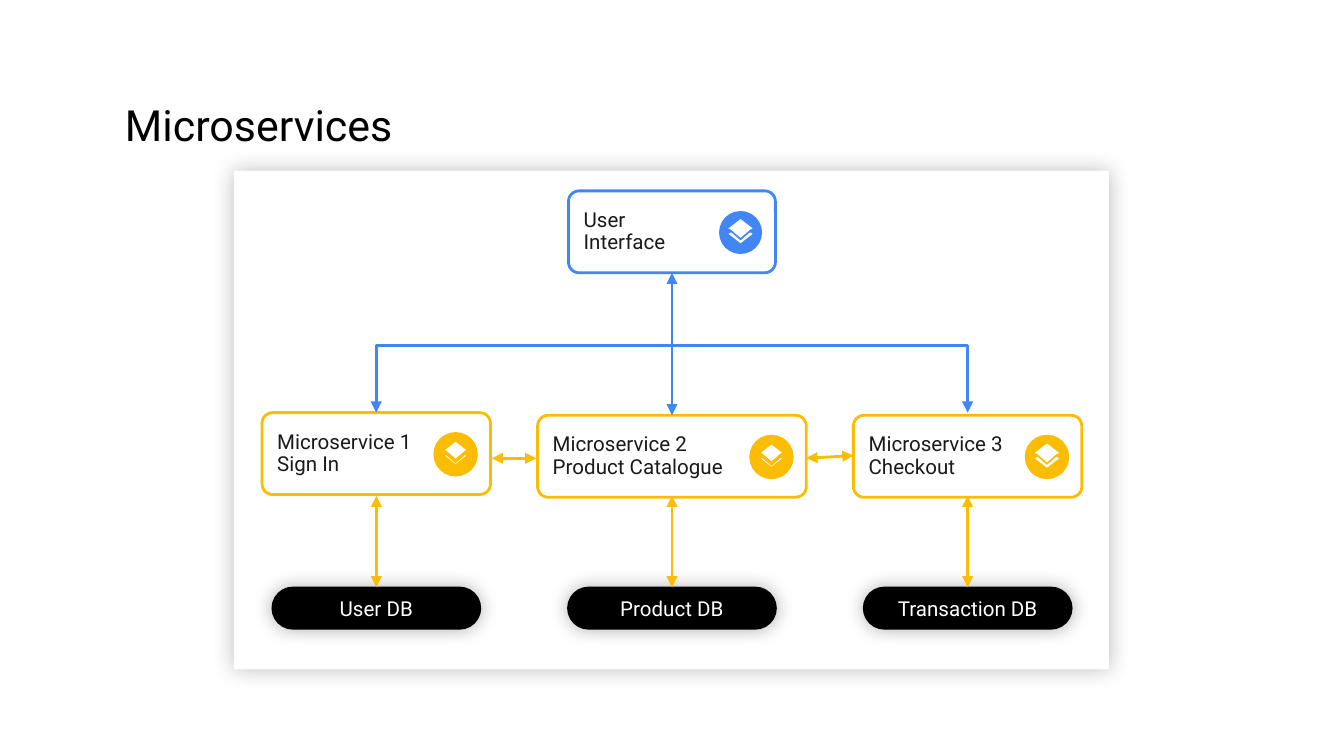
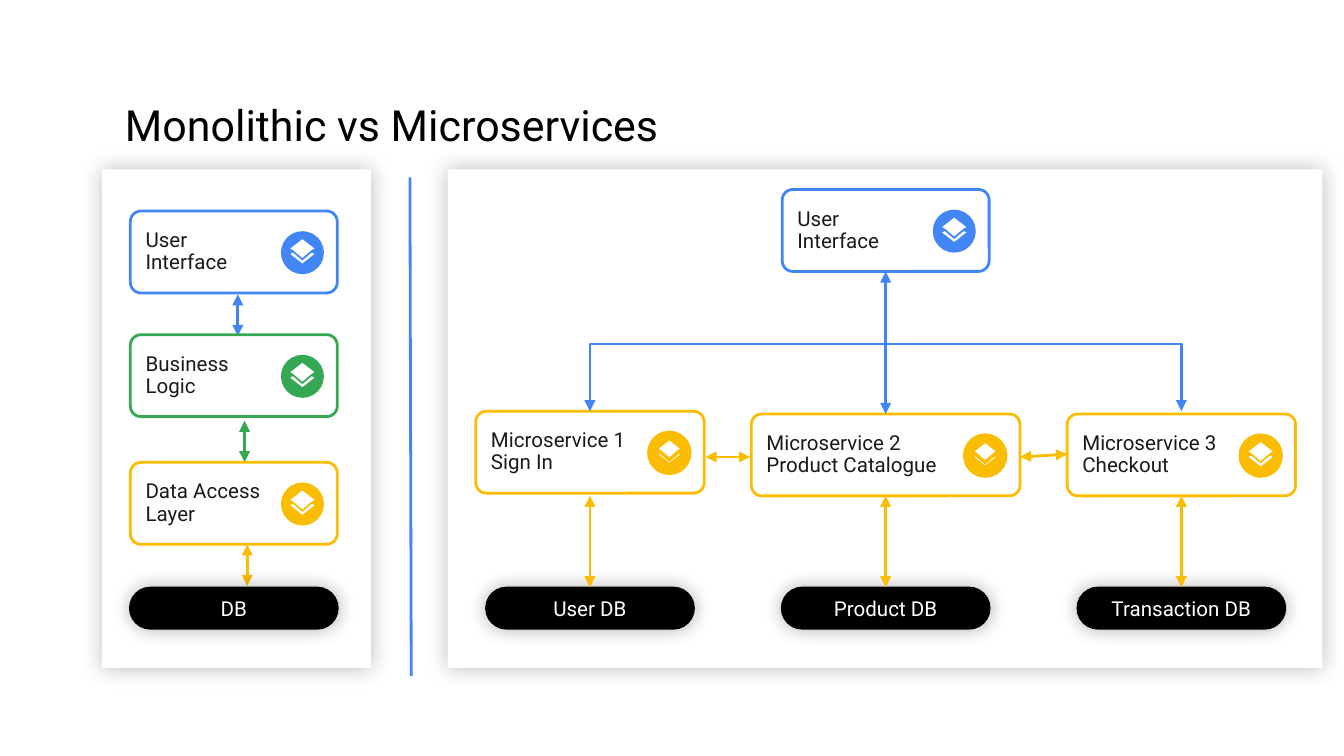
from lxml.etree import SubElement
from pptx import Presentation
from pptx.dml.color import RGBColor
from pptx.enum.shapes import MSO_CONNECTOR, MSO_SHAPE
from pptx.enum.text import MSO_ANCHOR, MSO_AUTO_SIZE, PP_ALIGN
from pptx.oxml.ns import qn
from pptx.util import Inches, Pt

FONT = "Roboto"
BLACK, WHITE, INK = "000000", "FFFFFF", "1A1A1A"
BLUE, GREEN, YELLOW = "4285F4", "34A853", "FBBC04"

TITLES = ["Microservices", "Monolithic vs Microservices"]
INTERFACE = ["User", "Interface"]
SERVICES = [
    {"label": ["Microservice 1", "Sign In"], "top": 3.07, "width": 1.7, "glyph_line": YELLOW, "db": "User DB"},
    {"label": ["Microservice 2", "Product Catalogue"], "top": 3.09, "width": 2, "glyph_line": YELLOW, "db": "Product DB"},
    {"label": ["Microservice 3", "Checkout"], "top": 3.09, "width": 1.7, "glyph_line": None, "db": "Transaction DB"},
]
SERVICE_LINKS = [((3.66, 3.41), (3.99, 3.41)), ((6, 3.41), (6.35, 3.39))]
LAYERS = [
    {"label": INTERFACE, "top": 1.57, "colour": BLUE, "arrow_x": 1.77},
    {"label": ["Business", "Logic"], "top": 2.49, "colour": GREEN, "arrow_x": 1.82},
    {"label": ["Data Access", "Layer"], "top": 3.44, "colour": YELLOW, "arrow_x": 1.84},
]
LAYER_ARROWS = [(2.5, 2.19), (3.44, 3.13), (4.36, 4.05)]
MONOLITH_DB = "DB"

SLIDE_WIDTH = Inches(10)
SLIDE_HEIGHT = SLIDE_WIDTH * 9 // 16
PANEL_HEIGHT = 3.71
CARD_WIDTH, CARD_HEIGHT = 1.54, 0.61
DB_WIDTH, DB_HEIGHT, DB_TOP = 1.55, 0.31, 4.37
ICON_SIZE, ICON_FROM_RIGHT, ICON_DROP = 0.32, 0.42, 0.15
CENTRE, COLUMN_GAP = 5, 2.2
BRANCH_TOP = 2.57
MONOLITH_CENTRE = 1.74

CHEVRON = [(0, 0.06), (0.07, 0), (0.09, 0.01), (0, 0.08), (-0.09, 0.01), (-0.07, 0)]
DIAMOND = [(0, 0.04), (-0.07, -0.02), (-0.09, -0.03), (0, -0.1), (0.09, -0.03), (0.07, -0.02)]


def rgb(colour):
    return RGBColor.from_string(colour)


def paint(shape, fill, outline=None, weight=0.75):
    shape.fill.solid()
    shape.fill.fore_color.rgb = rgb(fill)
    if outline:
        shape.line.color.rgb = rgb(outline)
        shape.line.width = Pt(weight)
    else:
        shape.line.fill.background()
    shape.shadow.inherit = False


def glow(shape, blur, opacity):
    effects = shape._element.spPr.find(qn("a:effectLst"))
    shadow = SubElement(effects, qn("a:outerShdw"), blurRad=str(Pt(blur)), dist="0", dir="0", algn="ctr", rotWithShape="0")
    tint = SubElement(shadow, qn("a:srgbClr"), val=BLACK)
    SubElement(tint, qn("a:alpha"), val=str(opacity * 1000))


def write(shape, lines, size, colour, align=PP_ALIGN.LEFT, anchor=MSO_ANCHOR.MIDDLE, inset=0.0, spacing=None):
    frame = shape.text_frame
    frame.word_wrap = True
    frame.auto_size = MSO_AUTO_SIZE.NONE
    frame.vertical_anchor = anchor
    frame.margin_left = frame.margin_right = frame.margin_top = frame.margin_bottom = Inches(inset)
    for index, line in enumerate(lines):
        paragraph = frame.add_paragraph() if index else frame.paragraphs[0]
        paragraph.alignment = align
        paragraph.line_spacing = spacing
        run = paragraph.add_run()
        run.text = line
        run.font.name = FONT
        run.font.size = Pt(size)
        run.font.color.rgb = rgb(colour)


def add_preset(slide, preset, left, top, width, height, radius=None):
    shape = slide.shapes.add_shape(preset, Inches(left), Inches(top), Inches(width), Inches(height))
    if radius is not None:
        shape.adjustments[0] = radius
    return shape


def add_panel(slide, left, top, width):
    panel = add_preset(slide, MSO_SHAPE.ROUNDED_RECTANGLE, left, top, width, PANEL_HEIGHT, 0)
    paint(panel, WHITE)
    glow(panel, 12, 25)


def add_icon(slide, left, top, colour, disc_line, glyph_line):
    disc = add_preset(slide, MSO_SHAPE.OVAL, left, top, ICON_SIZE, ICON_SIZE)
    paint(disc, colour, disc_line)
    middle_x, middle_y = left + ICON_SIZE / 2, top + ICON_SIZE / 2
    chevron, diamond = (
        [(Inches(middle_x + x), Inches(middle_y + y)) for x, y in outline] for outline in (CHEVRON, DIAMOND)
    )
    builder = slide.shapes.build_freeform(*chevron[0])
    builder.add_line_segments(chevron[1:], close=True)
    builder.move_to(*diamond[0])
    builder.add_line_segments(diamond[1:], close=True)
    paint(builder.convert_to_shape(), WHITE, glyph_line)


def add_card(slide, label, centre, top, width, colour, disc_line=None, glyph_line=None):
    left = centre - width / 2
    card = add_preset(slide, MSO_SHAPE.ROUNDED_RECTANGLE, left, top, width, CARD_HEIGHT, 0.13)
    paint(card, WHITE, colour, 1.5)
    write(card, label, 11, INK, inset=0.09, spacing=0.9)
    add_icon(slide, left + width - ICON_FROM_RIGHT, top + ICON_DROP, colour, disc_line, glyph_line)


def add_database(slide, name, centre, top):
    pill = add_preset(slide, MSO_SHAPE.ROUNDED_RECTANGLE, centre - DB_WIDTH / 2, top, DB_WIDTH, DB_HEIGHT, 0.5)
    paint(pill, BLACK, BLACK)
    glow(pill, 10, 30)
    write(pill, [name], 11, WHITE, align=PP_ALIGN.CENTER)


def add_link(slide, start, end, colour, ends=("headEnd", "tailEnd"), bent=False):
    kind = MSO_CONNECTOR.ELBOW if bent else MSO_CONNECTOR.STRAIGHT
    link = slide.shapes.add_connector(kind, *(Inches(value) for value in (*start, *end)))
    link.line.color.rgb = rgb(colour)
    link.line.width = Pt(1.5)
    properties = link._element.spPr
    if bent:
        properties.find(qn("a:prstGeom")).set("prst", "bentConnector2")
    for arrowhead in ends:
        SubElement(properties.find(qn("a:ln")), qn(f"a:{arrowhead}"), type="triangle")
    SubElement(properties, qn("a:effectLst"))


def add_microservices(slide, dx=0.0, dy=0.0):
    def moved(x, y):
        return x + dx, y + dy

    add_panel(slide, *moved(1.74, 1.27), 6.51)
    add_card(slide, INTERFACE, *moved(CENTRE, 1.42), CARD_WIDTH, BLUE)
    for column, service in enumerate(SERVICES):
        x = CENTRE + (column - 1) * COLUMN_GAP
        add_card(slide, service["label"], *moved(x, service["top"]), service["width"],
                 YELLOW, YELLOW, service["glyph_line"])
        add_database(slide, service["db"], x + dx, DB_TOP)
        add_link(slide, (x + dx, DB_TOP), (x + dx, 3.69), YELLOW)
        if x == CENTRE:
            add_link(slide, moved(x, service["top"]), moved(x, 2.03), BLUE)
        else:
            add_link(slide, moved(CENTRE, BRANCH_TOP), moved(x, 3.07), BLUE, ["tailEnd"], bent=True)
    for start, end in SERVICE_LINKS:
        add_link(slide, moved(*start), moved(*end), YELLOW)


def add_monolith(slide):
    add_panel(slide, 0.76, 1.26, 2)
    for layer, (bottom, top) in zip(LAYERS, LAYER_ARROWS):
        add_card(slide, layer["label"], MONOLITH_CENTRE, layer["top"], CARD_WIDTH, layer["colour"])
        add_link(slide, (layer["arrow_x"], bottom), (layer["arrow_x"], top), layer["colour"])
    add_database(slide, MONOLITH_DB, MONOLITH_CENTRE, DB_TOP)


def add_titled_slide(deck, heading):
    slide = deck.slides.add_slide(deck.slide_layouts[5])
    title = slide.shapes.title
    title.left, title.top, title.width, title.height = (Inches(value) for value in (0.93, 0.72, 4.16, 0.4))
    write(title, [heading], 23, BLACK, anchor=MSO_ANCHOR.BOTTOM)
    return slide


def main():
    deck = Presentation()
    deck.slide_width, deck.slide_height = SLIDE_WIDTH, SLIDE_HEIGHT
    microservices, comparison = (add_titled_slide(deck, heading) for heading in TITLES)
    add_microservices(microservices)
    add_microservices(comparison, 1.59, -0.01)
    add_monolith(comparison)
    add_link(comparison, (3.05, 1.32), (3.06, 5.03), BLUE, [])
    deck.save("out.pptx")


if __name__ == "__main__":
    main()
